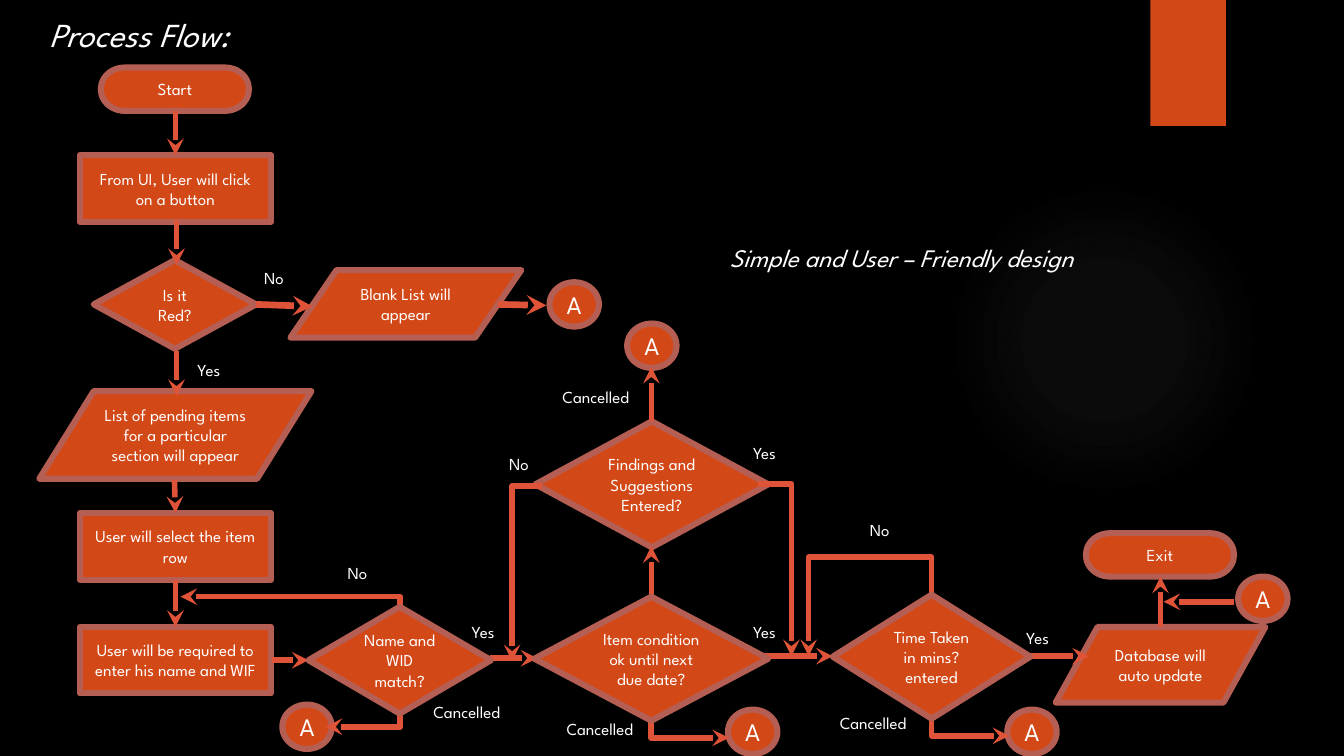
from lxml import etree
from pptx import Presentation
from pptx.dml.color import RGBColor
from pptx.enum import shapes, text
from pptx.oxml import ns, parse_xml
from pptx.util import Inches, Pt

BLACK = RGBColor(0x00, 0x00, 0x00)
WHITE = RGBColor(0xFF, 0xFF, 0xFF)
ORANGE = RGBColor(0xD3, 0x48, 0x17)
BORDER = RGBColor(0xB5, 0x5E, 0x53)
ARROW = RGBColor(0xDF, 0x53, 0x38)
GLOW = RGBColor(0xA6, 0xA1, 0xA1)
FONT = "League Spartan"

KIND = shapes.MSO_SHAPE
PROCESS = KIND.FLOWCHART_PROCESS
DECISION = KIND.FLOWCHART_DECISION
DATA = KIND.FLOWCHART_DATA
TERMINATOR = KIND.FLOWCHART_TERMINATOR
JUMP = KIND.FLOWCHART_CONNECTOR

STEPS = [
    (DATA, 10.47, 6.22, 2.08, 0.75, "Database will auto update"),
    (TERMINATOR, 1, 0.67, 1.47, 0.43, "Start"),
    (PROCESS, 0.79, 1.54, 1.9, 0.66, "From UI, User will click on a button"),
    (DECISION, 0.93, 2.58, 1.61, 0.88, "Is it Red?"),
    (DATA, 0.39, 3.88, 2.7, 0.87, "List of pending items for a particular section will appear"),
    (DATA, 2.88, 2.68, 2.29, 0.67, "Blank List will appear"),
    (PROCESS, 0.79, 5.09, 1.9, 0.66, "User will select the item row"),
    (PROCESS, 0.79, 6.22, 1.9, 0.66, "User will be required to enter his name and WIF"),
    (TERMINATOR, 10.77, 5.29, 1.47, 0.43, "Exit"),
    (DECISION, 5.31, 4.18, 2.31, 1.25, "Findings and Suggestions Entered?"),
]
CHECKS = [
    (DECISION, 3.06, 6.02, 1.81, 1.06, "Name and WID match?"),
    (DECISION, 5.3, 5.92, 2.32, 1.23, "Item condition ok until next due date?"),
    (DECISION, 8.26, 5.9, 1.96, 1.23, "Time Taken in mins? entered"),
]
JUMPS = [(5.45, 2.8), (12.28, 5.72), (2.8, 6.99), (7.22, 7.04), (9.99, 7.04), (6.22, 3.21)]
STRAIGHT = [
    (1.74, 1.1, 1.74, 1.54), (1.75, 2.18, 1.75, 2.63), (1.75, 3.48, 1.75, 3.93),
    (1.73, 4.76, 1.74, 5.09), (1.74, 5.75, 1.74, 6.22), (2.7, 6.55, 3.06, 6.55),
    (4.86, 6.53, 5.33, 6.53), (7.56, 6.51, 8.26, 6.51), (11.51, 6.22, 11.51, 5.72),
    (6.46, 5.92, 6.46, 5.42), (10.14, 6.51, 10.8, 6.51), (12.24, 5.97, 11.54, 5.97),
    (6.46, 4.18, 6.46, 3.64),
]
BLANK_LIST_ARROWS = [(2.54, 3.02, 3.1, 3.04), (4.94, 3.02, 5.42, 3.03)]
ACROSS_FIRST = [(5.38, 4.82, 5.08, 6.56), (7.52, 4.8, 7.85, 6.51)]
DOWN_FIRST = [
    (3.97, 6.02, 1.79, 5.92), (3.97, 6.81, 3.23, 7.21),
    (6.46, 7.05, 7.23, 7.32), (9.24, 7.03, 10.01, 7.3),
]
ANSWERS = {
    "Yes": [(1.86, 3.52), (4.58, 6.12), (7.37, 6.12), (10.08, 6.18), (7.37, 4.34)],
    "No": [(2.52, 2.61), (3.35, 5.53), (4.95, 4.45), (8.53, 5.11)],
    "Cancelled": [(4.1, 6.91), (5.42, 7.08), (8.13, 7.02), (5.38, 3.79)],
}


def write(frame, words, size, align, italic=False):
    """Put styled words into a text frame."""
    frame.word_wrap = True
    frame.text = words
    paragraph = frame.paragraphs[0]
    paragraph.alignment = align
    font = paragraph.runs[0].font
    font.name, font.size, font.italic = FONT, Pt(size), italic
    font.color.rgb = WHITE


def add_step(slide, kind, left, top, width, height, words, size=12):
    """Add one bordered flowchart symbol."""
    step = slide.shapes.add_shape(kind, Inches(left), Inches(top), Inches(width), Inches(height))
    step.shadow.inherit = False
    step.fill.solid()
    step.fill.fore_color.rgb = ORANGE
    step.line.color.rgb = BORDER
    step.line.width = Pt(4.33)
    step.text_frame.vertical_anchor = text.MSO_ANCHOR.MIDDLE
    write(step.text_frame, words, size, text.PP_ALIGN.CENTER)


def add_label(slide, left, top, width, height, words, size=12, align=text.PP_ALIGN.LEFT, italic=False):
    """Add a free-standing text label."""
    label = slide.shapes.add_textbox(Inches(left), Inches(top), Inches(width), Inches(height))
    write(label.text_frame, words, size, align, italic)
    label.text_frame.auto_size = text.MSO_AUTO_SIZE.SHAPE_TO_FIT_TEXT


def add_arrow(slide, x1, y1, x2, y2, weight=4):
    """Add a straight arrow and return it."""
    arrow = slide.shapes.add_connector(
        shapes.MSO_CONNECTOR.STRAIGHT, Inches(x1), Inches(y1), Inches(x2), Inches(y2))
    arrow.line.color.rgb = ARROW
    arrow.line.width = Pt(weight)
    etree.SubElement(arrow.line._get_or_add_ln(), ns.qn("a:tailEnd"), type="stealth")
    etree.SubElement(arrow._element.spPr, ns.qn("a:effectLst"))
    return arrow


def add_elbow(slide, x1, y1, x2, y2, down_first=False, bends=()):
    """Add a right-angled arrow that leaves sideways, or vertically if down_first."""
    arrow = add_arrow(slide, x1, y1, x2, y2)
    properties = arrow._element.spPr
    geometry = properties.find(ns.qn("a:prstGeom"))
    geometry.set("prst", "bentConnector4" if bends else "bentConnector2")
    guides = geometry.find(ns.qn("a:avLst"))
    for number, bend in enumerate(bends, 1):
        etree.SubElement(guides, ns.qn("a:gd"), name=f"adj{number}", fmla=f"val {round(bend * 100000)}")
    if down_first:
        width, height = abs(y2 - y1), abs(x2 - x1)
        arrow.left, arrow.top = Inches((x1 + x2 - width) / 2), Inches((y1 + y2 - height) / 2)
        arrow.width, arrow.height = Inches(width), Inches(height)
        frame = properties.find(ns.qn("a:xfrm"))
        frame.set("rot", str((90 if y2 > y1 else 270) * 60000))
        frame.set("flipH", "0")
        frame.set("flipV", str(int((y2 > y1) == (x2 > x1))))


def add_glow(slide):
    """Add the faint round glow on the right."""
    glow = slide.shapes.add_shape(KIND.OVAL, Inches(9.41), Inches(1.83), Inches(3.08), Inches(3.08))
    glow.shadow.inherit = False
    glow.line.fill.background()
    stops = "".join(
        f'<a:gs pos="{place}000"><a:srgbClr val="{GLOW}"><a:alpha val="{alpha}000"/></a:srgbClr></a:gs>'
        for place, alpha in [(0, 7), (36, 6), (69, 0)])
    glow._element.spPr.find(ns.qn("a:prstGeom")).addnext(parse_xml(
        f'<a:gradFill {ns.nsdecls("a")}><a:gsLst>{stops}</a:gsLst><a:path path="circle">'
        '<a:fillToRect l="50000" t="50000" r="50000" b="50000"/></a:path></a:gradFill>'))


def add_ribbon(slide):
    """Add the orange ribbon at the top edge."""
    ribbon = slide.shapes.add_shape(KIND.RECTANGLE, Inches(11.41), 0, Inches(0.75), Inches(1.25))
    ribbon.shadow.inherit = False
    ribbon.fill.solid()
    ribbon.fill.fore_color.rgb = ORANGE
    ribbon.line.fill.background()


def main():
    """Build the process flow slide."""
    deck = Presentation()
    deck.slide_width, deck.slide_height = Inches(13.33), Inches(7.5)
    slide = deck.slides.add_slide(deck.slide_layouts[6])
    slide.background.fill.solid()
    slide.background.fill.fore_color.rgb = BLACK
    add_glow(slide)
    add_ribbon(slide)
    add_label(slide, 0.39, 0.09, 2.7, 0.5, "Process Flow:", 24, italic=True)
    for step in STEPS:
        add_step(slide, *step)
    for left, top in JUMPS:
        add_step(slide, JUMP, left, top, 0.49, 0.44, "A", 18)
    for ends in STRAIGHT:
        add_arrow(slide, *ends)
    for ends in BLANK_LIST_ARROWS:
        add_arrow(slide, *ends, weight=4.75)
    for ends in ACROSS_FIRST:
        add_elbow(slide, *ends)
    for ends in DOWN_FIRST:
        add_elbow(slide, *ends, down_first=True)
    add_elbow(slide, 9.24, 5.9, 8.02, 6.51, down_first=True, bends=(-0.61, 1))
    for check in CHECKS:
        add_step(slide, *check)
    for answer, places in ANSWERS.items():
        cancelled = answer == "Cancelled"
        align = text.PP_ALIGN.CENTER if cancelled else text.PP_ALIGN.LEFT
        for left, top in places:
            add_label(slide, left, top, 1.06 if cancelled else 0.55, 0.3, answer, align=align)
    add_label(slide, 7.14, 2.36, 4.2, 0.4, "Simple and User – Friendly design", 18, italic=True)
    deck.save("out.pptx")


if __name__ == "__main__":
    main()
